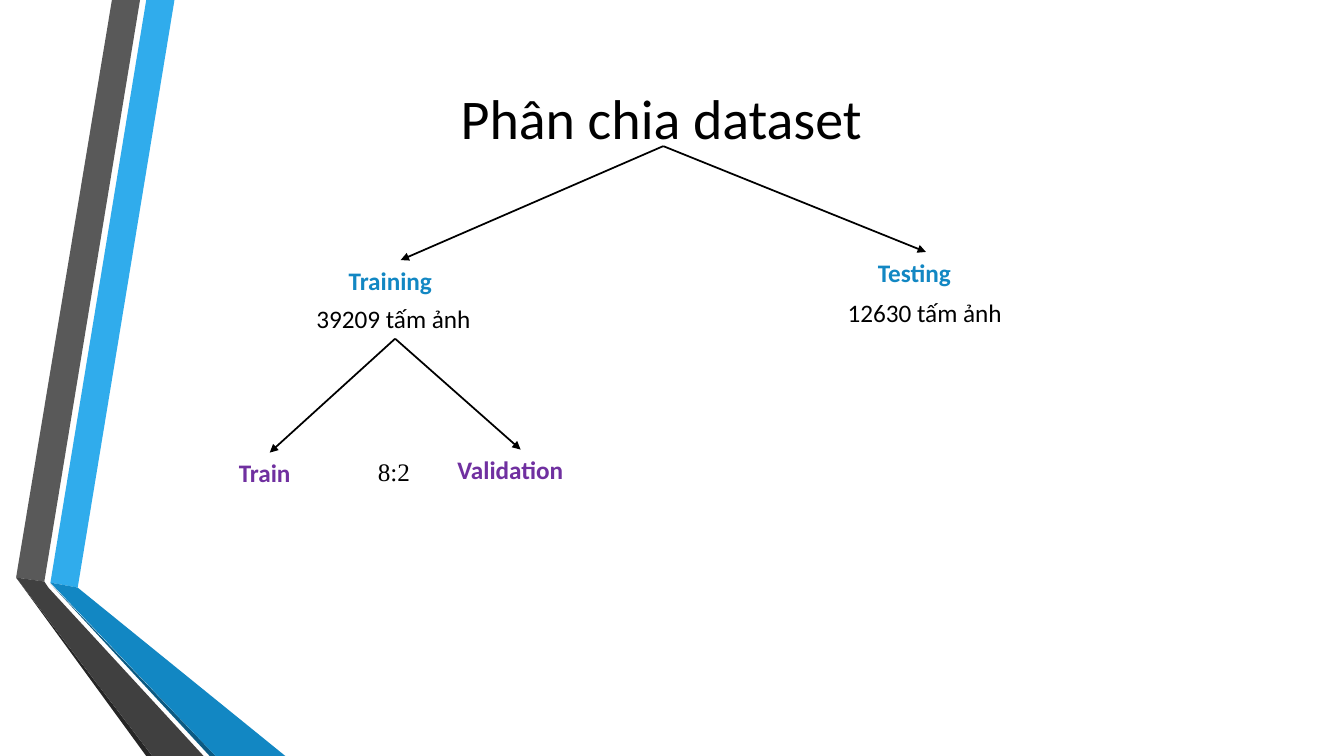
from dataclasses import dataclass

from lxml import etree
from pptx import Presentation, util as u
from pptx.dml.color import RGBColor
from pptx.enum import shapes as sh, text as tx
from pptx.oxml import ns

WIDE, HIGH = u.Inches(13.33), u.Inches(7.5)
BLACK = RGBColor(0x00, 0x00, 0x00)
SKY = RGBColor(0x30, 0xAC, 0xEC)
BLUE = RGBColor(0x12, 0x87, 0xC3)
NAVY = RGBColor(0x0C, 0x5A, 0x82)
GREY = RGBColor(0x59, 0x59, 0x59)
DARK = RGBColor(0x40, 0x40, 0x40)
COAL = RGBColor(0x26, 0x26, 0x26)
PURPLE = RGBColor(0x70, 0x30, 0xA0)
SANS, SERIF = "Calibri", "Times New Roman"
ROW = 5.33  # height of a label, percent of the slide


@dataclass
class Band:
    color: RGBColor
    points: list[tuple[float, float]]


@dataclass
class Label:
    words: str
    left: float
    top: float
    width: float
    color: RGBColor = BLACK
    bold: bool = False
    face: str = SANS


BANDS = [
    Band(SKY, [(3.75, 77.07), (5.78, 77.73), (12.98, 0), (10.88, 0)]),
    Band(GREY, [(10.42, 0), (8.33, 0), (1.2, 76.4), (3.3, 76.93)]),
    Band(COAL, [(1.2, 76.4), (10.88, 100), (11.33, 100)]),
    Band(NAVY, [(3.75, 77.2), (15.6, 100), (16.05, 100)]),
    Band(BLUE, [(3.75, 77.07), (16.05, 100), (21.23, 100), (5.78, 77.73)]),
    Band(DARK, [(15.15, 100), (3.6, 77.73), (3.3, 76.93), (1.2, 76.4),
                (11.33, 100)]),
]
LABELS = [
    Label("Training", 25.2, 34.4, 9.23, BLUE, True),
    Label("Testing", 64.58, 33.33, 8.63, BLUE, True),
    Label("12630 tấm ảnh", 62.33, 38.67, 13.2),
    Label("39209 tấm ảnh", 22.8, 39.47, 13.2),
    Label("Train", 17.03, 59.87, 6.08, PURPLE, True),
    Label("Validation", 33.3, 59.47, 10.88, PURPLE, True),
    Label("8:2", 27.38, 59.73, 3.98, face=SERIF),
]


def spot(x: float, y: float) -> tuple[int, int]:
    """Turn percentages of the slide into lengths."""
    return round(WIDE * x / 100), round(HIGH * y / 100)


def style(frame, size: int, color: RGBColor, face: str, bold: bool) -> None:
    font = frame.paragraphs[0].runs[0].font
    font.size, font.name, font.bold = u.Pt(size), face, bold
    font.color.rgb = color


def draw_band(slide, band: Band) -> None:
    first, *rest = [spot(*p) for p in band.points]
    pen = slide.shapes.build_freeform(*first)
    pen.add_line_segments(rest, close=True)
    shape = pen.convert_to_shape()
    shape.shadow.inherit = False
    shape.fill.solid()
    shape.fill.fore_color.rgb = band.color
    shape.line.fill.background()


def draw_title(slide, words: str) -> None:
    title = slide.shapes.title
    title.left, title.top = spot(8.1, 2.67)
    title.width, title.height = spot(82.2, 25.6)
    frame = title.text_frame
    frame.text = words
    frame.vertical_anchor = tx.MSO_ANCHOR.MIDDLE
    frame.paragraphs[0].alignment = tx.PP_ALIGN.CENTER
    style(frame, 40, BLACK, SANS, False)
    title.element.getparent().append(title.element)  # in front of the bands


def draw_label(slide, label: Label):
    box = slide.shapes.add_textbox(*spot(label.left, label.top),
                                   *spot(label.width, ROW))
    frame = box.text_frame
    frame.text = label.words
    frame.word_wrap = True
    frame.auto_size = tx.MSO_AUTO_SIZE.SHAPE_TO_FIT_TEXT
    style(frame, 18, label.color, label.face, label.bold)
    return box


def draw_arrow(slide, start: tuple[int, int], goal, source=None) -> None:
    """Point from start, or the foot of source, to the top of goal."""
    line = slide.shapes.add_connector(sh.MSO_CONNECTOR.STRAIGHT, *start,
                                      goal.left, goal.top)
    if source is not None:
        line.begin_connect(source, 2)
    line.end_connect(goal, 0)
    line.line.color.rgb = BLACK
    line.line.width = u.Pt(1.25)
    tip = etree.SubElement(line.get_or_add_ln(), ns.qn("a:tailEnd"))
    tip.set("type", "triangle")
    etree.SubElement(line.element.spPr, ns.qn("a:effectLst"))


def main() -> None:
    deck = Presentation()
    deck.slide_width, deck.slide_height = WIDE, HIGH
    slide = deck.slides.add_slide(deck.slide_layouts[5])
    for band in BANDS:
        draw_band(slide, band)
    draw_title(slide, "Phân chia dataset")
    boxes = {label.words: draw_label(slide, label) for label in LABELS}
    root = spot(49.35, 19.33)
    for name in ("Training", "Testing"):
        draw_arrow(slide, root, boxes[name])
    count = boxes["39209 tấm ảnh"]
    for name in ("Train", "Validation"):
        draw_arrow(slide, (count.left, count.top), boxes[name], count)
    deck.save("out.pptx")


if __name__ == "__main__":
    main()
